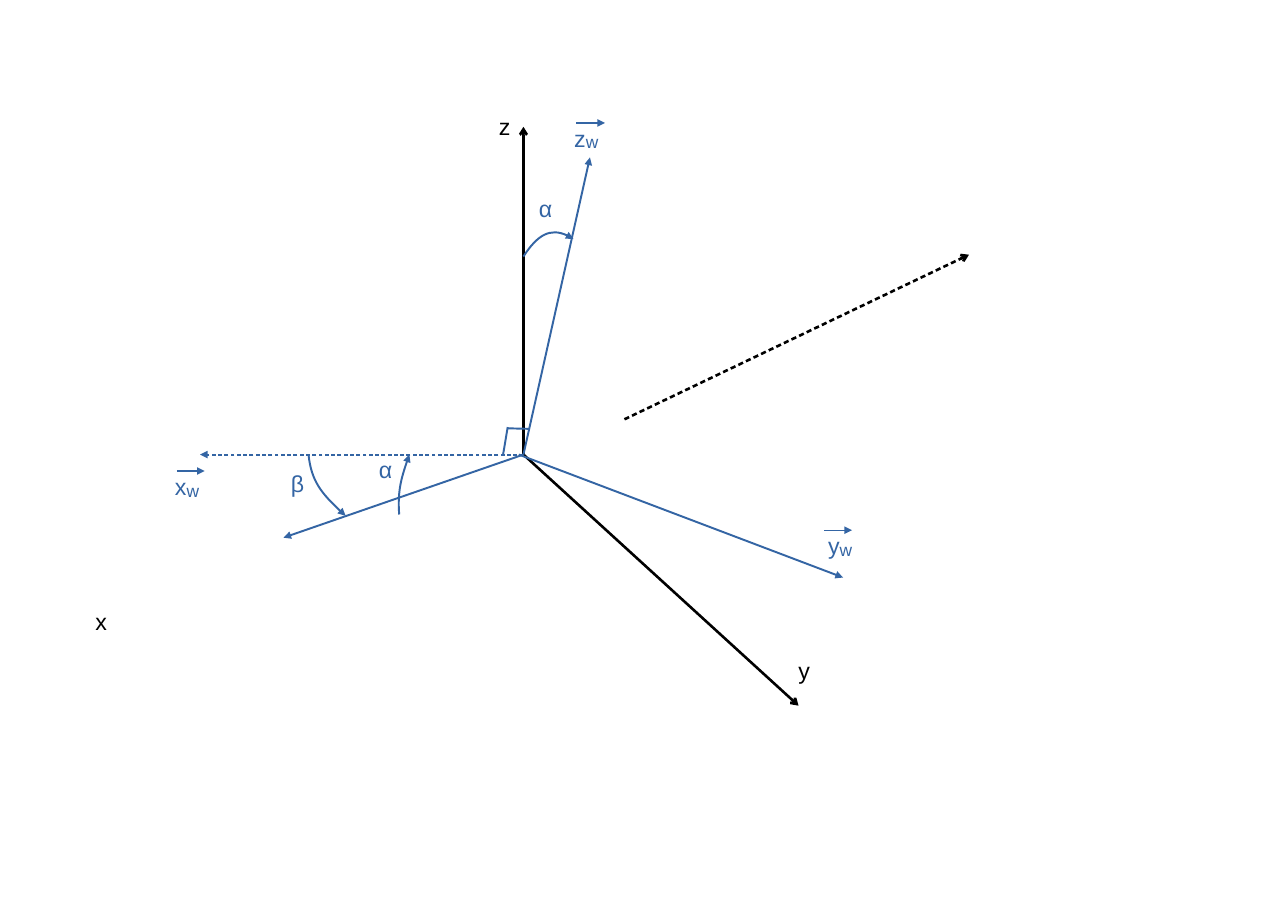
from lxml.etree import SubElement as Sub
from pptx import Presentation
from pptx.dml.color import RGBColor as RGB
from pptx.enum.shapes import MSO_CONNECTOR as Conn
from pptx.enum.text import MSO_AUTO_SIZE as Auto
from pptx.oxml.ns import qn
from pptx.util import Pt

COLORS = {"base": "000000", "wind": "3465A4"}
ORIGIN = (406.8, 353.4)


def style(line, color, width, dash=False, head=None):
    line.color.rgb = RGB.from_string(COLORS[color])
    line.width = Pt(width)
    ln = line._get_or_add_ln()
    if dash:
        Sub(Sub(ln, qn("a:custDash")), qn("a:ds"), d="200000", sp="125000")
    if head:
        Sub(ln, qn("a:tailEnd"), type=head)


def draw_line(slide, start, end, color="wind", width=1.5, dash=False,
              head="triangle"):
    ends = [Pt(v) for v in (*start, *end)]
    line = slide.shapes.add_connector(Conn.STRAIGHT, *ends)
    style(line.line, color, width, dash, head)
    Sub(line._element.spPr, qn("a:effectLst"))


def draw_arc(slide, *points):
    """Draw one cubic curve with an arrowhead from its four points."""
    first, *rest = [(Pt(x), Pt(y)) for x, y in points]
    form = slide.shapes.build_freeform(*first)
    form.add_line_segments(rest, close=False)
    arc = form.convert_to_shape()
    route = arc._element.find(".//" + qn("a:path"))
    curve = Sub(route, qn("a:cubicBezTo"))
    for step in route.findall(qn("a:lnTo")):
        curve.append(step[0])
        route.remove(step)
    arc.shadow.inherit = False
    arc.fill.background()
    style(arc.line, "wind", 1.5, head="triangle")


def add_run(para, text, color, size=18):
    run = para.add_run()
    run.text = text
    run.font.name = "Arial"
    run.font.size = Pt(size)
    run.font.color.rgb = RGB.from_string(COLORS[color])
    return run


def add_label(slide, text, color, left, top, width, height, sub=""):
    box = slide.shapes.add_textbox(Pt(left), Pt(top), Pt(width), Pt(height))
    frame = box.text_frame
    frame.word_wrap = False
    frame.auto_size = Auto.SHAPE_TO_FIT_TEXT
    para = frame.paragraphs[0]
    add_run(para, text, color)
    if sub:
        run = add_run(para, sub, color, 23.3)
        run.font._element.set("baseline", "-5000")


def add_vector(slide, name, left, top, width, bar, span):
    """Label a wind axis, with a small arrow over its name."""
    add_label(slide, name, "wind", left, top, width, 45.4, sub="w")
    level = top + 7.8
    draw_line(slide, (bar, level), (bar + span, level), width=1)


def main():
    deck = Presentation()
    deck.slide_width = Pt(1001)
    deck.slide_height = Pt(709)
    slide = deck.slides.add_slide(deck.slide_layouts[6])

    draw_line(slide, (485.3, 326), (753.1, 198), "base", 2, True, "arrow")
    for start, tip in (((406.8, 355), (406.8, 98.6)),
                       (ORIGIN, (620.6, 548.6))):
        draw_line(slide, start, tip, "base", 2, head="arrow")

    draw_line(slide, ORIGIN, (155.5, 353.4), dash=True)
    for start, tip in ((ORIGIN, (220.3, 418)),
                       (ORIGIN, (458.5, 122.4)),
                       ((403.2, 353.4), (655.2, 449))):
        draw_line(slide, start, tip)

    # Right angle between the x and z wind axes
    draw_line(slide, (391, 353.4), (394.6, 332), head=None)
    draw_line(slide, (411.1, 333.4), (394.6, 333), head=None)

    draw_arc(slide, (239.8, 353.4), (241.9, 374.4), (252, 385.9), (268.6, 401))
    draw_arc(slide, (310.3, 400), (308.9, 382.3), (312.5, 369.4),
             (318.2, 353.4))
    draw_arc(slide, (406.8, 199.4), (417.6, 182.9), (429.8, 175),
             (445.7, 185.8))

    for name, left, top, height in (("z", 380.6, 83.5, 39.6),
                                    ("y", 613.4, 506.6, 41.8),
                                    ("x", 67, 468.7, 46.1)):
        add_label(slide, name, "base", left, top, 27.4, height)
    for name, left, top in (("α", 287.3, 350.4), ("β", 218.9, 361.4),
                            ("α", 411.8, 147.6)):
        add_label(slide, name, "wind", left, top, 29.5, 39.6)
    add_vector(slide, "x", 128.9, 358.4, 39.6, 137.5, 21.6)
    add_vector(slide, "z", 439.2, 87.8, 41.8, 447.8, 22.4)
    add_vector(slide, "y", 636.5, 404.4, 39.6, 640.6, 21.6)

    deck.save("out.pptx")


if __name__ == "__main__":
    main()
